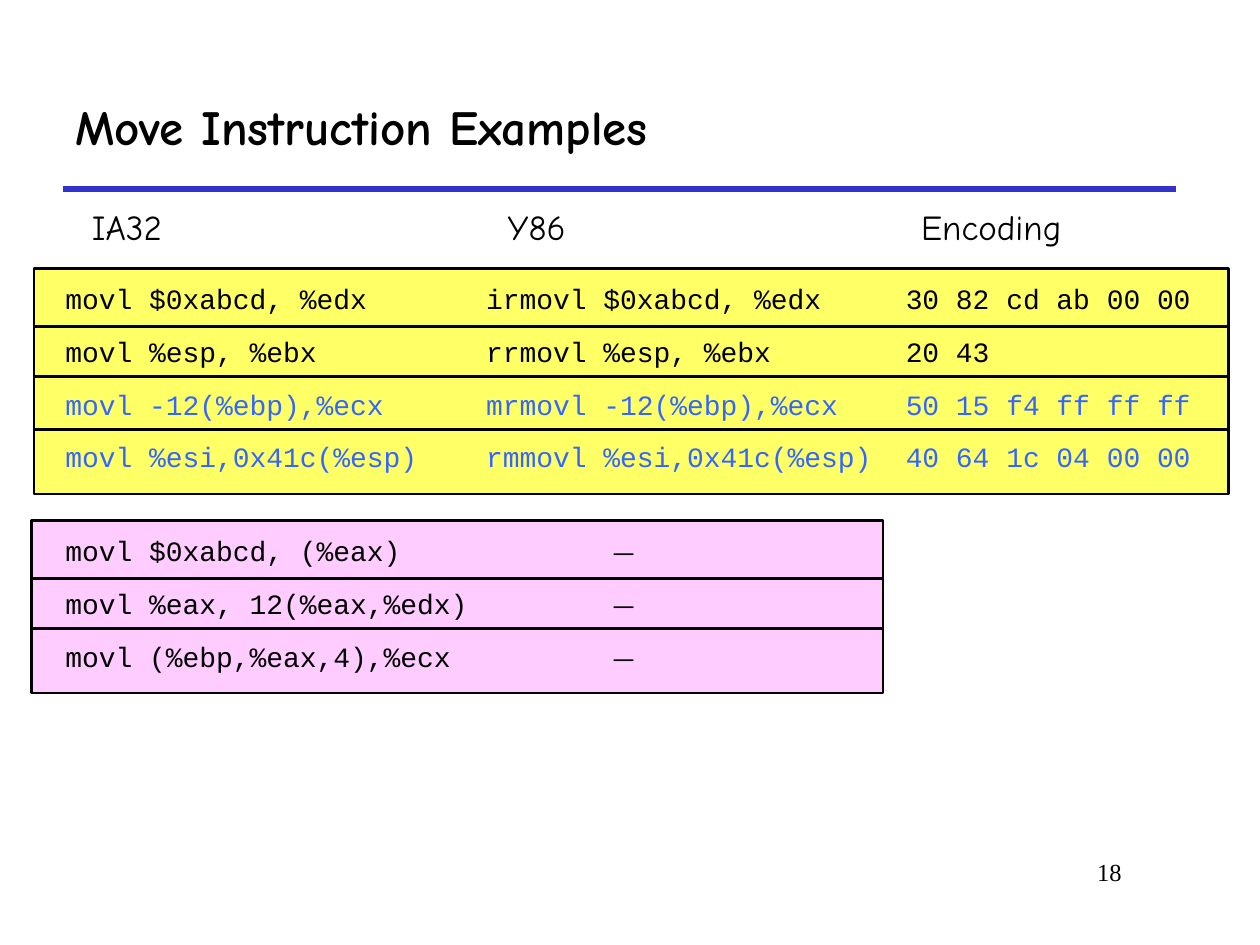
from dataclasses import dataclass

from lxml.etree import SubElement
from pptx import Presentation
from pptx.dml.color import RGBColor
from pptx.enum.shapes import MSO_CONNECTOR, MSO_SHAPE
from pptx.enum.text import MSO_ANCHOR, PP_ALIGN
from pptx.oxml.ns import qn
from pptx.util import Inches, Pt


@dataclass(frozen=True)
class Theme:
    """Colours, fonts and type sizes of the slide."""
    black: str = "000000"
    blue: str = "3366FF"
    rule: str = "3333CC"
    yellow: str = "FFFF66"
    pink: str = "FFCCFF"
    hand: str = "Comic Neue"
    code: str = "Courier New"
    serif: str = "Times New Roman"
    title: int = 28
    head: int = 20
    body: int = 16
    page: int = 14


LOOK = Theme()
STEP = 0.42
COLS = ((0.42, 3.45), (3.76, 3.45), (7.09, 2.55))
HEADS = (("IA32", 0.68, 0.66), ("Y86", 3.98, 0.56), ("Encoding", 7.26, 1.22))
VALID = (
    (LOOK.black, ("movl $0xabcd, %edx", "irmovl $0xabcd, %edx", "30 82 cd ab 00 00")),
    (LOOK.black, ("movl %esp, %ebx", "rrmovl %esp, %ebx", "20 43")),
    (LOOK.blue, ("movl -12(%ebp),%ecx", "mrmovl -12(%ebp),%ecx", "50 15 f4 ff ff ff")),
    (LOOK.blue, ("movl %esi,0x41c(%esp)", "rmmovl %esi,0x41c(%esp)", "40 64 1c 04 00 00")),
)
NO_MATCH = "\t—"
INVALID = tuple(
    (LOOK.black, (code, NO_MATCH))
    for code in ("movl $0xabcd, (%eax)", "movl %eax, 12(%eax,%edx)", "movl (%ebp,%eax,4),%ecx")
)


def apply(item, form):
    """Set each attribute of item from the format dict."""
    for name, value in form.items():
        setattr(item, name, value)


def add_text(slide, text, place, font, size, tint=LOOK.black, bold=False, align=None, **frame):
    """Add a one-line text box, with a tab stop when the text has a tab."""
    box = slide.shapes.add_textbox(*map(Inches, place)).text_frame
    apply(box, frame)
    para = box.paragraphs[0]
    para.alignment = align
    if "\t" in text:
        stops = SubElement(para._p.get_or_add_pPr(), qn("a:tabLst"))
        SubElement(stops, qn("a:tab"), pos=str(Inches(1)), algn="l")
    run = para.add_run()
    run.text = text
    apply(run.font, {"name": font, "size": Pt(size), "bold": bold})
    run.font.color.rgb = RGBColor.from_string(tint)


def add_rule(slide, left, right, top):
    """Add the line below the title."""
    line = slide.shapes.add_connector(
        MSO_CONNECTOR.STRAIGHT, *map(Inches, (left, top, right, top)))
    line.line.width = Pt(3)
    line.line.color.rgb = RGBColor.from_string(LOOK.rule)
    SubElement(line._element.spPr, qn("a:effectLst"))


def add_band(slide, place, tint):
    """Add one outlined row background."""
    band = slide.shapes.add_shape(MSO_SHAPE.RECTANGLE, *map(Inches, place))
    band.shadow.inherit = False
    band.fill.solid()
    band.fill.fore_color.rgb = RGBColor.from_string(tint)
    band.line.width = Pt(1.5)
    band.line.color.rgb = RGBColor.from_string(LOOK.black)


def add_grid(slide, left, top, width, fill, rows):
    """Add the row bands, the first one in front, and their code."""
    for i in range(1, len(rows)):
        add_band(slide, (left, top + 0.02 + STEP * i, width, 0.51), fill)
    add_band(slide, (left, top, width, 0.46), fill)
    for i, (tint, cells) in enumerate(rows):
        for (col, wide), text in zip(COLS, cells):
            font = LOOK.hand if text == NO_MATCH else LOOK.code
            add_text(slide, text, (col, top + 0.07 + STEP * i, wide, 0.33), font,
                     LOOK.body, tint, word_wrap=True, vertical_anchor=MSO_ANCHOR.MIDDLE)


def main():
    """Build and save the slide."""
    deck = Presentation()
    apply(deck, {"slide_width": Inches(10), "slide_height": Inches(7.5)})
    slide = deck.slides.add_slide(deck.slide_layouts[6])
    add_rule(slide, 0.5, 9.33, 1.5)
    add_text(slide, "Move Instruction Examples", (0.5, 0.5, 8.83, 1), LOOK.hand, LOOK.title,
             bold=True, word_wrap=True, vertical_anchor=MSO_ANCHOR.MIDDLE)
    inset = dict.fromkeys(("margin_left", "margin_right"), Inches(0.05))
    for text, left, width in HEADS:
        add_text(slide, text, (left, 1.58, width, 0.43), LOOK.hand, LOOK.head,
                 word_wrap=False, **inset)
    add_grid(slide, 0.27, 2.13, 9.48, LOOK.yellow, VALID)
    add_grid(slide, 0.25, 4.13, 6.76, LOOK.pink, INVALID)
    add_text(slide, "18", (7.58, 6.75, 1.42, 0.5), LOOK.serif, LOOK.page,
             align=PP_ALIGN.RIGHT, word_wrap=True)
    deck.save("out.pptx")


if __name__ == "__main__":
    main()
